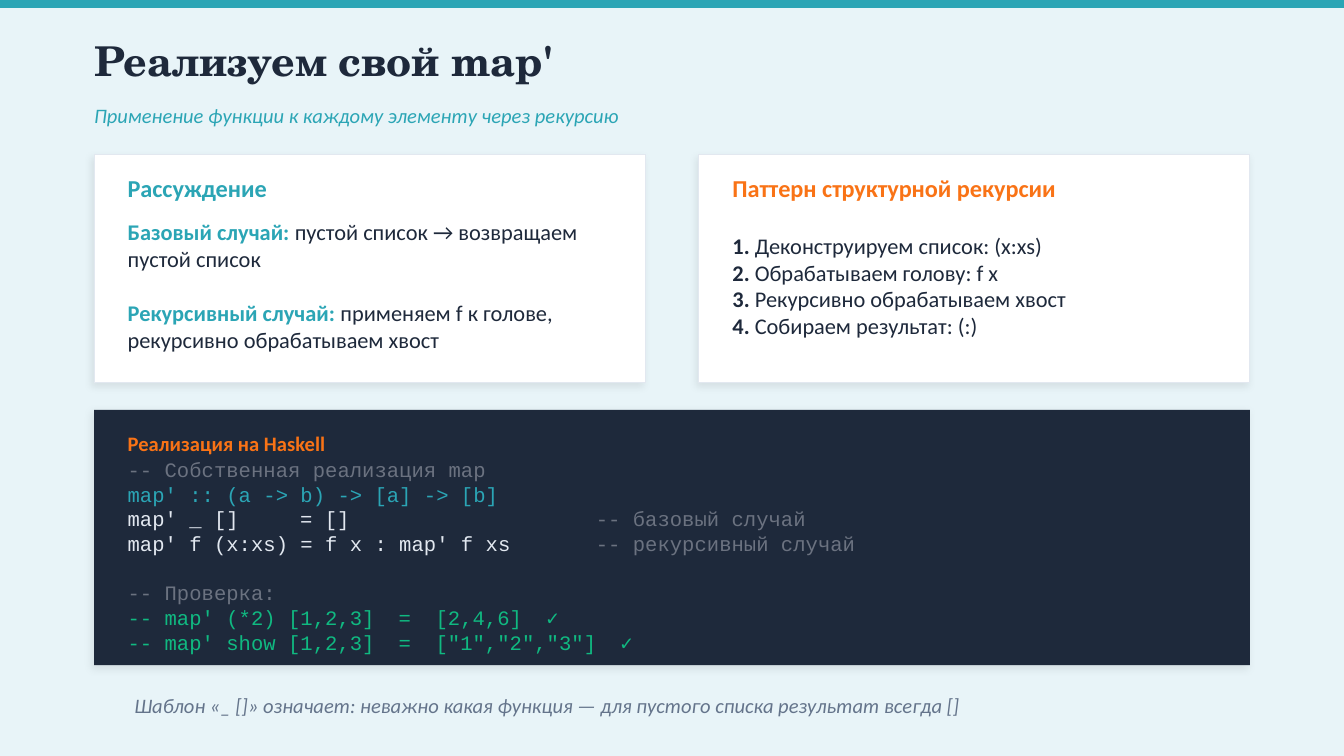
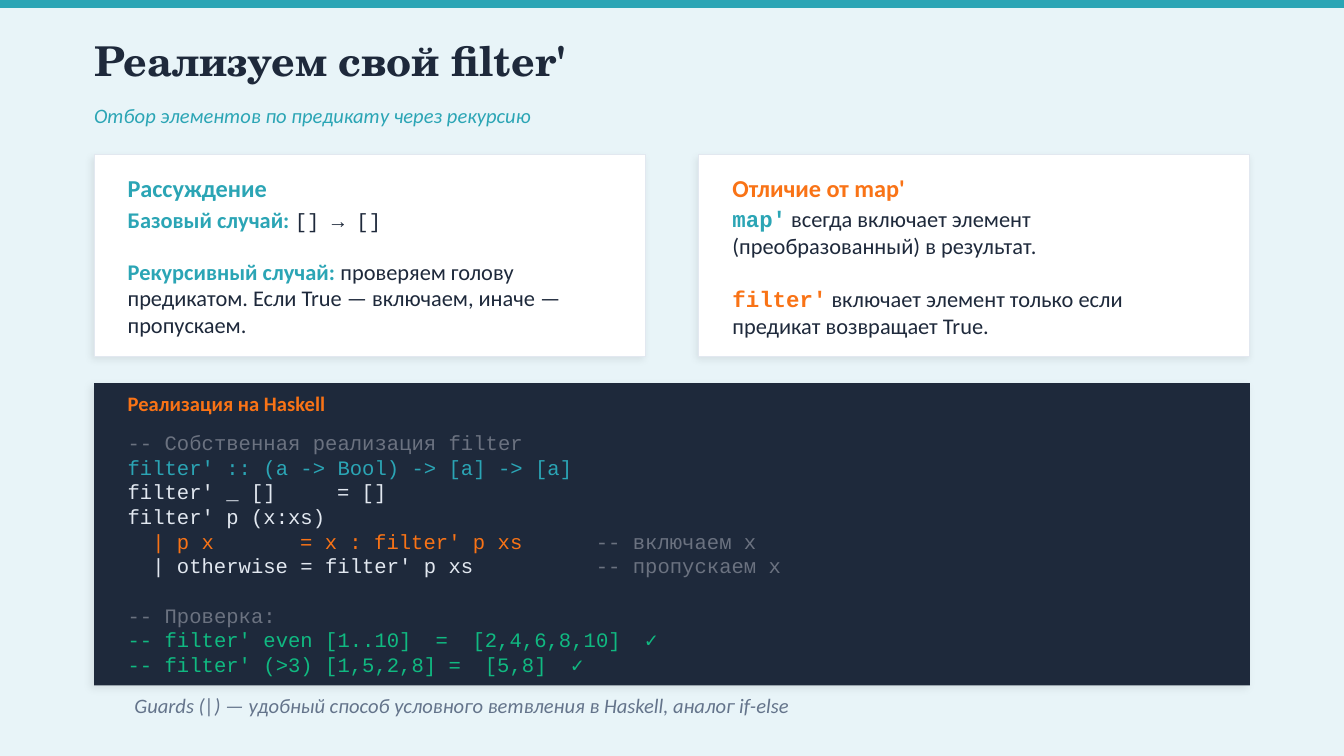
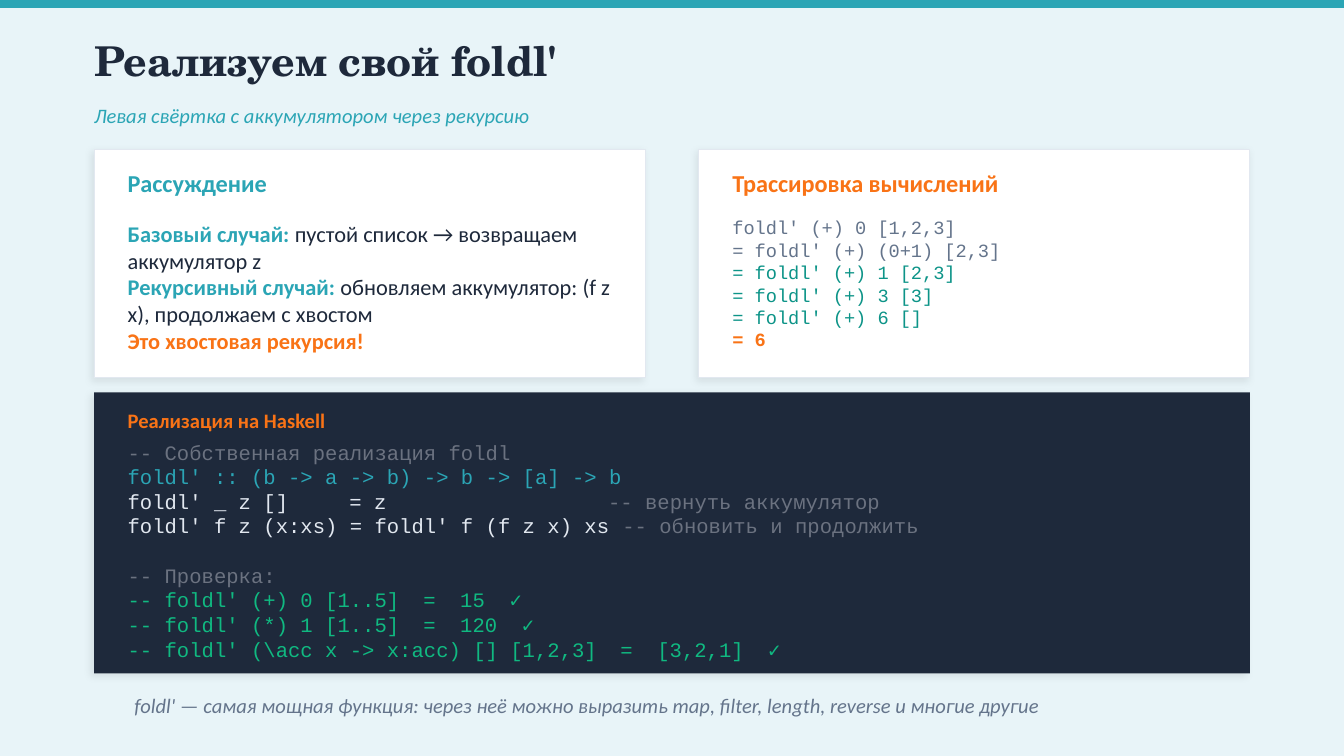
"""Build three slides on writing map', filter' and foldl' in Haskell."""
from lxml import etree
from pptx import Presentation
from pptx.dml.color import RGBColor
from pptx.enum.shapes import MSO_SHAPE
from pptx.enum.text import MSO_ANCHOR
from pptx.oxml.ns import qn
from pptx.util import Emu, Inches, Pt

RECT = MSO_SHAPE.RECTANGLE
MIDDLE, TOP = MSO_ANCHOR.MIDDLE, MSO_ANCHOR.TOP
SANS, MONO, SERIF = "Calibri", "Courier New", "TeX Gyre Schola"
CHAR_W = 0.6 * 11 / 72

COLORS = {
    "bg": "E8F4F8", "teal": "2BA5B5", "ink": "1E293B", "white": "FFFFFF",
    "border": "E2E8F0", "orange": "F97316", "comment": "6B7280",
    "green": "10B981", "slate": "64748B", "trace": "0D9488",
}
RGB = {name: RGBColor.from_string(value) for name, value in COLORS.items()}

STYLES = {
    "title": ("ink", {"size": Pt(22), "name": SERIF, "bold": True}),
    "subtitle": ("teal", {"size": Pt(11), "name": SANS, "italic": True}),
    "note": ("slate", {"size": Pt(11), "name": SANS, "italic": True}),
    "head_teal": ("teal", {"size": Pt(13), "name": SANS, "bold": True}),
    "head_orange": ("orange", {"size": Pt(13), "name": SANS, "bold": True}),
    "head_code": ("orange", {"size": Pt(11), "name": SANS, "bold": True}),
    "body": ("ink", {"size": Pt(12), "name": SANS}),
    "strong": ("ink", {"size": Pt(12), "name": SANS, "bold": True}),
    "term": ("teal", {"size": Pt(12), "name": SANS, "bold": True}),
    "accent": ("orange", {"size": Pt(12), "name": SANS, "bold": True}),
    "mono": ("ink", {"size": Pt(11), "name": MONO}),
    "mono_teal": ("teal", {"size": Pt(12), "name": MONO, "bold": True}),
    "mono_orange": ("orange", {"size": Pt(12), "name": MONO, "bold": True}),
    "step_start": ("slate", {"size": Pt(10), "name": MONO}),
    "step": ("trace", {"size": Pt(10), "name": MONO}),
    "step_end": ("orange", {"size": Pt(10), "name": MONO, "bold": True}),
}
for name, color in (("remark", "comment"), ("sign", "teal"), ("code", "border"),
                    ("guard", "orange"), ("check", "green")):
    STYLES[name] = (color, {"size": Pt(11), "name": MONO})

BLANK = {"space_before": Pt(14.4)}
STEP = {"line_spacing": Pt(12)}
CODE = {"line_spacing": Pt(13.2)}
CODE_BLANK = {"line_spacing": Pt(13.2), "space_before": Pt(13.2)}

SLIDES = [
    {
        "title": "Реализуем свой map'",
        "subtitle": "Применение функции к каждому элементу через рекурсию",
        "note": "Шаблон «_ []» означает: неважно какая функция — для пустого списка результат всегда []",
        "card": (1.15, 1.7),
        "left": (1.65, 0.95, [
            ({}, [("Базовый случай: ", "term"),
                  ("пустой список → возвращаем пустой список", "body")]),
            (BLANK, [("Рекурсивный случай: ", "term"),
                     ("применяем f к голове, рекурсивно обрабатываем хвост", "body")]),
        ]),
        "right_head": "Паттерн структурной рекурсии",
        "right": (1.65, 0.95, [
            ({}, [("1. ", "strong"), ("Деконструируем список: (x:xs)", "body")]),
            ({}, [("2. ", "strong"), ("Обрабатываем голову: f x", "body")]),
            ({}, [("3. ", "strong"), ("Рекурсивно обрабатываем хвост", "body")]),
            ({}, [("4. ", "strong"), ("Собираем результат: (:)", "body")]),
        ]),
        "panel": (3.05, 1.9), "code_head": 3.15, "code_box": (3.4, 1.45),
        "code": [
            [(0, "-- Собственная реализация map", "remark")],
            [(0, "map' :: (a -> b) -> [a] -> [b]", "sign")],
            [(0, "map' _ []", "code"), (14, "= []", "code"),
             (38, "-- базовый случай", "remark")],
            [(0, "map' f (x:xs) = f x : map' f xs", "code"),
             (38, "-- рекурсивный случай", "remark")],
            [(0, "-- Проверка:", "remark")],
            [(0, "-- map' (*2) [1,2,3]", "check"), (22, "=", "check"),
             (25, "[2,4,6]", "check"), (34, "✓", "check")],
            [(0, "-- map' show [1,2,3]", "check"), (22, "=", "check"),
             (25, '["1","2","3"]', "check"), (40, "✓", "check")],
        ],
    },
    {
        "title": "Реализуем свой filter'",
        "subtitle": "Отбор элементов по предикату через рекурсию",
        "note": "Guards (|) — удобный способ условного ветвления в Haskell, аналог if-else",
        "card": (1.15, 1.5),
        "left": (1.6, 0.85, [
            ({}, [("Базовый случай: ", "term"), ("[] → []", "mono")]),
            ({"space_before": Pt(13.2)}, [
                ("Рекурсивный случай: ", "term"),
                ("проверяем голову предикатом. Если True — включаем, иначе — пропускаем.", "body")]),
        ]),
        "right_head": "Отличие от map'",
        "right": (1.6, 0.85, [
            ({}, [("map'", "mono_teal"),
                  (" всегда включает элемент (преобразованный) в результат.", "body")]),
            (BLANK, [("filter'", "mono_orange"),
                     (" включает элемент только если предикат возвращает True.", "body")]),
        ]),
        "panel": (2.85, 2.25), "code_head": 2.85, "code_box": (3.2, 1.9),
        "code": [
            [(0, "-- Собственная реализация filter", "remark")],
            [(0, "filter' :: (a -> Bool) -> [a] -> [a]", "sign")],
            [(0, "filter' _ []", "code"), (17, "= []", "code")],
            [(0, "filter' p (x:xs)", "code")],
            [(2, "| p x", "guard"), (14, "= x : filter' p xs", "guard"),
             (38, "-- включаем x", "remark")],
            [(2, "| otherwise = filter' p xs", "code"),
             (38, "-- пропускаем x", "remark")],
            [(0, "-- Проверка:", "remark")],
            [(0, "-- filter' even [1..10]", "check"), (25, "=", "check"),
             (28, "[2,4,6,8,10]", "check"), (42, "✓", "check")],
            [(0, "-- filter' (>3) [1,5,2,8] =", "check"),
             (29, "[5,8]", "check"), (36, "✓", "check")],
        ],
    },
    {
        "title": "Реализуем свой foldl'",
        "subtitle": "Левая свёртка с аккумулятором через рекурсию",
        "note": "foldl' — самая мощная функция: через неё можно выразить map, filter, length, reverse и многие другие",
        "card": (1.11, 1.7),
        "left": (1.61, 1.05, [
            ({}, [("Базовый случай: ", "term"),
                  ("пустой список → возвращаем аккумулятор z", "body")]),
            ({}, [("Рекурсивный случай: ", "term"),
                  ("обновляем аккумулятор: (f z x), продолжаем с хвостом", "body")]),
            ({}, [("Это хвостовая рекурсия!", "accent")]),
        ]),
        "right_head": "Трассировка вычислений",
        "right": (1.56, 1.1, [
            (STEP, [("foldl' (+) 0 [1,2,3]", "step_start")]),
            (STEP, [("= foldl' (+) (0+1) [2,3]", "step_start")]),
            (STEP, [("= foldl' (+) 1 [2,3]", "step")]),
            (STEP, [("= foldl' (+) 3 [3]", "step")]),
            (STEP, [("= foldl' (+) 6 []", "step")]),
            (STEP, [("= 6", "step_end")]),
        ]),
        "panel": (2.92, 2.09), "code_head": 2.98, "code_box": (3.27, 1.45),
        "code": [
            [(0, "-- Собственная реализация foldl", "remark")],
            [(0, "foldl' :: (b -> a -> b) -> b -> [a] -> b", "sign")],
            [(0, "foldl' _ z []", "code"), (18, "= z", "code"),
             (39, "-- вернуть аккумулятор", "remark")],
            [(0, "foldl' f z (x:xs) = foldl' f (f z x) xs", "code"),
             (0, " -- обновить и продолжить", "remark")],
            [(0, "-- Проверка:", "remark")],
            [(0, "-- foldl' (+) 0 [1..5]", "check"), (24, "=", "check"),
             (27, "15", "check"), (31, "✓", "check")],
            [(0, "-- foldl' (*) 1 [1..5]", "check"), (24, "=", "check"),
             (27, "120", "check"), (32, "✓", "check")],
            [(0, "-- foldl' (\\acc x -> x:acc) [] [1,2,3]", "check"),
             (40, "=", "check"), (43, "[3,2,1]", "check"), (52, "✓", "check")],
        ],
    },
]


def add_rect(s, box, fill, border=None, shadow=True):
    sp = s.shapes.add_shape(RECT, *map(Inches, box))
    sp.fill.solid()
    sp.fill.fore_color.rgb = RGB[fill]
    if border:
        sp.line.color.rgb = RGB[border]
        sp.line.width = Pt(0.5)
    else:
        sp.line.fill.background()
    sp.shadow.inherit = False
    if shadow:
        effects = sp._element.spPr.find(qn("a:effectLst"))
        outer = etree.SubElement(effects, qn("a:outerShdw"), blurRad=str(Pt(4)),
                                 dist=str(Pt(2)), dir="8100000",
                                 algn="bl", rotWithShape="0")
        color = etree.SubElement(outer, qn("a:srgbClr"), val="000000")
        etree.SubElement(color, qn("a:alpha"), val="8000")


def add_text(s, box, paragraphs, anchor=MIDDLE):
    tf = s.shapes.add_textbox(*map(Inches, box)).text_frame
    frame = {"word_wrap": True, "vertical_anchor": anchor, "margin_left": Emu(0),
             "margin_top": Emu(0), "margin_right": Emu(0), "margin_bottom": Emu(0)}
    for key, value in frame.items():
        setattr(tf, key, value)
    for i, (layout, runs, *stops) in enumerate(paragraphs):
        p = tf.add_paragraph() if i else tf.paragraphs[0]
        for key, value in layout.items():
            setattr(p, key, value)
        if stops:
            tabs = etree.SubElement(p._p.get_or_add_pPr(), qn("a:tabLst"))
            for column in stops:
                etree.SubElement(tabs, qn("a:tab"), algn="l",
                                 pos=str(Inches(column * CHAR_W)))
        for text, style in runs:
            r = p.add_run()
            r.text = text
            color, font = STYLES[style]
            r.font.color.rgb = RGB[color]
            for key, value in font.items():
                setattr(r.font, key, value)


prs = Presentation()
prs.slide_width, prs.slide_height = Inches(10), Inches(5.625)

for data in SLIDES:
    s = prs.slides.add_slide(prs.slide_layouts[6])
    s.background.fill.solid()
    s.background.fill.fore_color.rgb = RGB["bg"]
    add_rect(s, (0, 0, 10, 0.06), "teal", shadow=False)
    add_text(s, (0.7, 0.2, 8.6, 0.5), [({}, [(data["title"], "title")])])
    add_text(s, (0.7, 0.72, 8.6, 0.28), [({}, [(data["subtitle"], "subtitle")])])

    card_top, card_height = data["card"]
    for x, head, style, body in ((0.7, "Рассуждение", "head_teal", data["left"]),
                                 (5.2, data["right_head"], "head_orange", data["right"])):
        body_top, body_height, paragraphs = body
        add_rect(s, (x, card_top, 4.1, card_height), "white", "border")
        add_text(s, (x + 0.25, card_top + 0.1, 3.6, 0.3), [({}, [(head, style)])])
        add_text(s, (x + 0.25, body_top, 3.6, body_height), paragraphs)

    panel_top, panel_height = data["panel"]
    add_rect(s, (0.7, panel_top, 8.6, panel_height), "ink")
    add_text(s, (0.95, data["code_head"], 8.1, 0.3),
             [({}, [("Реализация на Haskell", "head_code")])])
    lines = []
    for line in data["code"]:
        layout = CODE_BLANK if line[0][1] == "-- Проверка:" else CODE
        runs = [("\t" + text if column else text, style) for column, text, style in line]
        lines.append((layout, runs, *[column for column, _, _ in line if column]))
    code_top, code_height = data["code_box"]
    add_text(s, (0.95, code_top, 8.1, code_height), lines, TOP)
    add_text(s, (1, 5.1, 8.3, 0.3), [({}, [(data["note"], "note")])])

prs.save("out.pptx")
